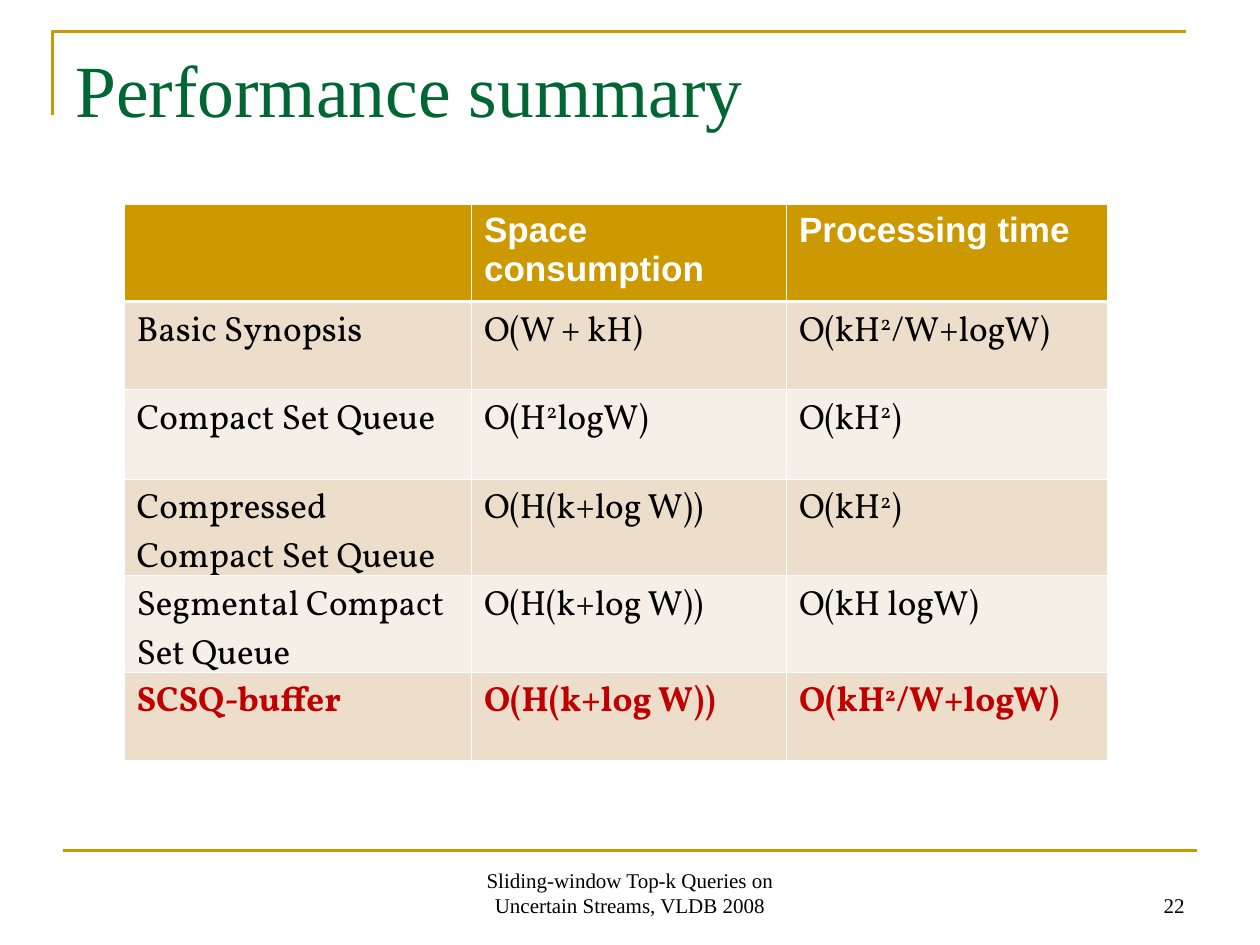
from lxml.etree import SubElement
from pptx import Presentation
from pptx.dml.color import RGBColor
from pptx.enum.shapes import MSO_CONNECTOR
from pptx.enum.text import MSO_ANCHOR, PP_ALIGN
from pptx.oxml.ns import qn
from pptx.util import Inches, Pt

HUES = {"gold": "CC9900", "green": "006633", "black": "000000", "white": "FFFFFF",
        "red": "C00000", "sand": "ECDECB", "cream": "F6EFE7"}
SERIF = "Times New Roman"
HEAD = ["", "Space consumption", "Processing time"]
BODY = [
    ["Basic Synopsis", "O(W + kH)", "O(kH^2^/W+logW)"],
    ["Compact Set Queue", "O(H^2^logW)", "O(kH^2^)"],
    ["Compressed Compact Set Queue", "O(H(k+log W))", "O(kH^2^)"],
    ["Segmental Compact Set Queue", "O(H(k+log W))", "O(kH logW)"],
    ["SCSQ-buffer", "O(H(k+log W))", "O(kH^2^/W+logW)"],
]
WIDTHS = [33.1, 30, 30.6]
HEIGHTS = [9.2, 8.4, 8.5, 9.2, 9.2, 8.4]


def grid(*units):
    return [Inches(unit / 12) for unit in units]


def hue(name):
    return RGBColor.from_string(HUES[name])


class Page:
    def __init__(self, slide):
        self.slide = slide
        self.shapes = slide.shapes

    def stroke(self, shape):
        shape.line.color.rgb = hue("gold")
        shape.line.width = Pt(1.5)

    def frame(self, start, *ends):
        build = self.shapes.build_freeform(*grid(*start))
        build.add_line_segments([grid(*end) for end in ends], close=False)
        shape = build.convert_to_shape()
        shape.fill.background()
        shape.shadow.inherit = False
        self.stroke(shape)

    def rule(self, start, end):
        line = self.shapes.add_connector(MSO_CONNECTOR.STRAIGHT, *grid(*start, *end))
        self.stroke(line)
        SubElement(line._element.spPr, qn("a:effectLst"))

    def label(self, para, text, size, face, tint, bold=False):
        font = para.font
        font.size, font.name, font.bold = Pt(size), face, bold
        font.color.rgb = hue(tint)
        for place, part in enumerate(text.split("^")):
            if part:
                run = para.add_run()
                run.text = part
                if place % 2:
                    run.font._element.set("baseline", "30000")

    def text(self, box, text, size, tint="black", align=PP_ALIGN.LEFT,
             anchor=MSO_ANCHOR.BOTTOM):
        frame = self.shapes.add_textbox(*grid(*box)).text_frame
        frame.word_wrap = True
        frame.vertical_anchor = anchor
        para = frame.paragraphs[0]
        para.alignment = align
        self.label(para, text, size, SERIF, tint)

    def edge(self, cell, heavy):
        props = cell._tc.get_or_add_tcPr()
        for place, side in enumerate(["lnL", "lnR", "lnT", "lnB"]):
            width = Pt(1.47 if side == heavy else 0.45)
            line = props.makeelement(qn("a:" + side), {"w": str(width)})
            fill = SubElement(line, qn("a:solidFill"))
            SubElement(fill, qn("a:srgbClr"), val=HUES["white"])
            props.insert(place, line)

    def table(self, left, top, rows):
        size = grid(left, top, sum(WIDTHS), sum(HEIGHTS))
        table = self.shapes.add_table(len(rows), len(WIDTHS), *size).table
        for col, width in zip(table.columns, grid(*WIDTHS)):
            col.width = width
        for row, height in zip(table.rows, grid(*HEIGHTS)):
            row.height = height
        for y, row in enumerate(rows):
            heavy = {0: "lnB", 1: "lnT"}.get(y)
            back = "gold" if y == 0 else "sand" if y % 2 else "cream"
            face = "Vollkorn" if y else "Arial"
            last = y == len(rows) - 1
            tint = "white" if y == 0 else "red" if last else "black"
            for x, text in enumerate(row):
                cell = table.cell(y, x)
                cell.fill.solid()
                cell.fill.fore_color.rgb = hue(back)
                self.edge(cell, heavy)
                para = cell.text_frame.paragraphs[0]
                self.label(para, text, 20, face, tint, y == 0 or last)


def main():
    deck = Presentation()
    deck.slide_width, deck.slide_height = grid(120, 90)
    page = Page(deck.slides.add_slide(deck.slide_layouts[6]))
    page.frame((5, 11), (5, 3), (113, 3))
    page.rule((6, 81), (114, 81))
    page.text((41, 82, 38, 6), "Sliding-window Top-k Queries on Uncertain Streams, VLDB 2008",
              12, align=PP_ALIGN.CENTER)
    page.text((86, 82, 28, 6), "22", 12, align=PP_ALIGN.RIGHT)
    page.text((6, 3.6, 108, 15), "Performance summary", 42, "green", anchor=MSO_ANCHOR.TOP)
    page.table(11.8, 19.5, [HEAD] + BODY)
    deck.save("out.pptx")


if __name__ == "__main__":
    main()
